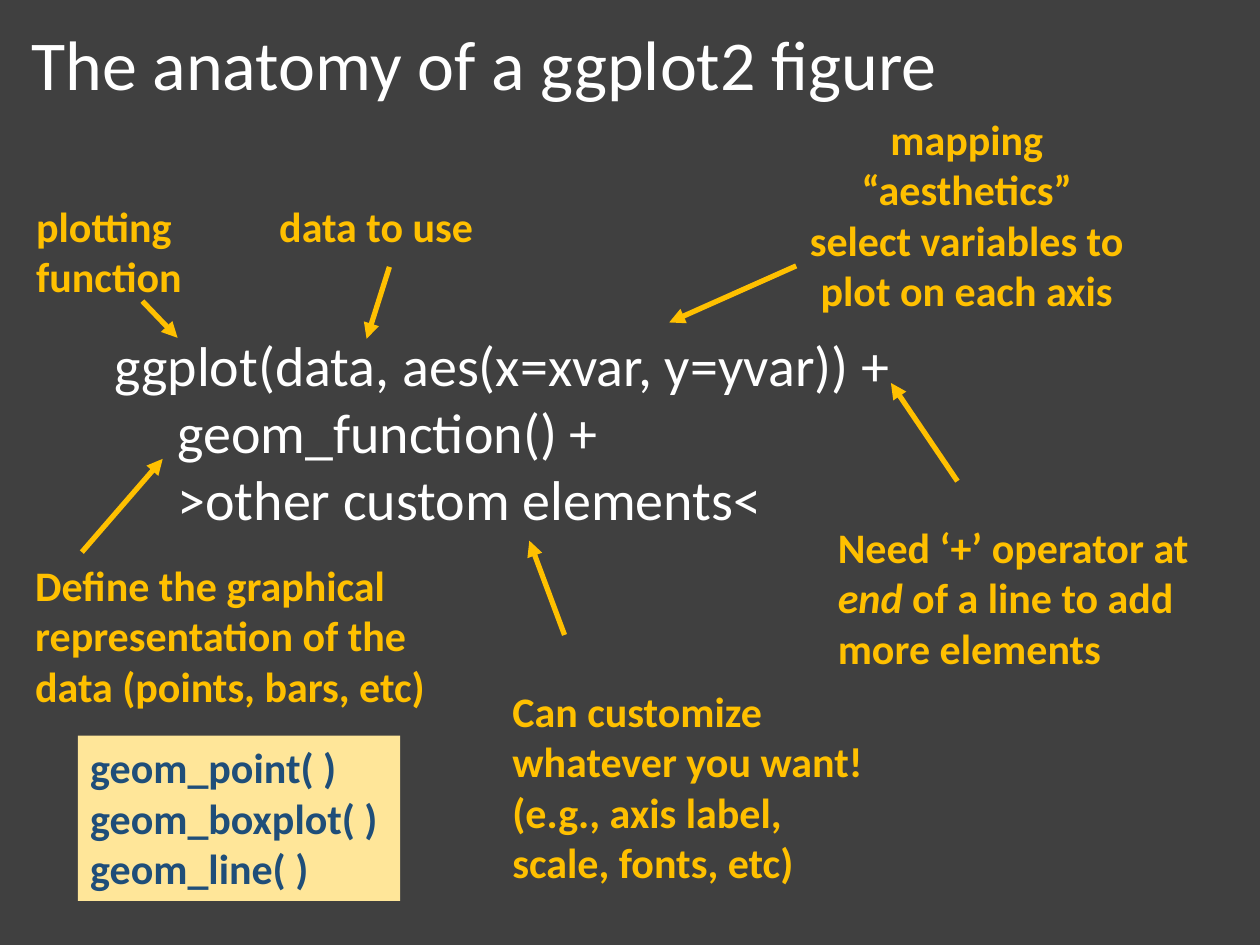
from lxml import etree
from pptx import Presentation
from pptx.dml.color import RGBColor
from pptx.enum.shapes import MSO_CONNECTOR, MSO_SHAPE
from pptx.enum.text import MSO_ANCHOR, MSO_AUTO_SIZE, PP_ALIGN
from pptx.oxml.ns import qn
from pptx.util import Cm, Pt

LEFT, CENTER = PP_ALIGN.LEFT, PP_ALIGN.CENTER
TOP = MSO_ANCHOR.TOP
FIT_SHAPE = MSO_AUTO_SIZE.SHAPE_TO_FIT_TEXT
STRAIGHT = MSO_CONNECTOR.STRAIGHT
RECTANGLE = MSO_SHAPE.RECTANGLE

TITLE_ONLY = 5
FONT = "Calibri"
BACKGROUND, WHITE, GOLD = "404040", "FFFFFF", "FFC000"
CREAM, NAVY = "FFE699", "1F4E79"

# Each callout: box, arrow start and tip relative to the box corner, paragraphs, alignment, wrap
CALLOUTS = [
    ((5.38, 3.91, 4.47, 1.27), (2.47, 1.47), (2.01, 2.92),
     [["data to use"]], LEFT, False),
    ((15.77, 2.16, 7.44, 4.37), (0.28, 3.2), (-2.28, 4.34),
     [["mapping “aesthetics”"], ["select variables to plot on each axis"]], CENTER, True),
    ((0.48, 3.91, 3.73, 2.31), (2.39, 2.16), (3.1, 2.9),
     [["plotting function"]], LEFT, True),
    ((0.46, 11.15, 8.76, 3.33), (1.19, -0.02), (2.82, -1.9),
     [["Define the graphical representation of the data (points, bars, etc)"]], LEFT, True),
    ((16.64, 10.39, 8.76, 3.33), (2.66, -0.69), (1.32, -2.67),
     [["Need ‘+’ operator at ", ("end", True), " of a line to add more elements"]], LEFT, True),
    ((10.08, 13.69, 7.87, 4.37), (1.3, -0.89), (0.59, -2.79),
     [["Can customize whatever you want!"], ["(e.g., axis label, scale, fonts, etc)"]], LEFT, True),
]


def color(value):
    """Return the colour for a hex string."""
    return RGBColor.from_string(value)


def lengths(box):
    """Convert a box or point in centimetres to lengths."""
    return [Cm(value) for value in box]


def write(shape, paragraphs, size, text_color, bold=False, align=LEFT, wrap=True):
    """Fill a shape with paragraphs of runs; a (text, True) run is italic."""
    frame = shape.text_frame
    frame.word_wrap = wrap
    frame.auto_size = FIT_SHAPE
    frame.vertical_anchor = TOP
    for index, runs in enumerate(paragraphs):
        paragraph = frame.add_paragraph() if index else frame.paragraphs[0]
        paragraph.alignment = align
        for item in runs:
            text, italic = item if isinstance(item, tuple) else (item, False)
            run = paragraph.add_run()
            run.text = text
            run.font.name = FONT
            run.font.size = Pt(size)
            run.font.bold = bold
            run.font.italic = italic
            run.font.color.rgb = color(text_color)


def add_title(slide, box):
    """Place and format the title placeholder."""
    title = slide.shapes.title
    title.left, title.top, title.width, title.height = lengths(box)
    write(title, [["The anatomy of a ggplot2 figure"]], 40, WHITE)


def add_code(slide, box):
    """Add the template call that the callouts explain."""
    lines = [["ggplot(data, aes(x=xvar, y=yvar)) +"],
             ["\tgeom_function() +"],
             ["\t>other custom elements<"]]
    write(slide.shapes.add_textbox(*lengths(box)), lines, 32, WHITE)


def add_arrow(slide, start, tip):
    """Draw a gold arrow from start to tip."""
    arrow = slide.shapes.add_connector(STRAIGHT, *lengths(start + tip))
    arrow.line.color.rgb = color(GOLD)
    arrow.line.width = Pt(3)
    etree.SubElement(arrow.line._get_or_add_ln(), qn("a:tailEnd"), type="triangle")
    etree.SubElement(arrow._element.spPr, qn("a:effectLst"))


def add_callout(slide, box, start, tip, paragraphs, align, wrap):
    """Add an explanation and its arrow, both relative to the box corner."""
    left, top = box[:2]
    label = slide.shapes.add_textbox(*lengths(box))
    write(label, paragraphs, 24, GOLD, True, align, wrap)
    add_arrow(slide, *((left + x, top + y) for x, y in (start, tip)))


def add_examples(slide, box):
    """Add the filled box of example geom functions."""
    shape = slide.shapes.add_shape(RECTANGLE, *lengths(box))
    shape.shadow.inherit = False
    shape.fill.solid()
    shape.fill.fore_color.rgb = color(CREAM)
    shape.line.fill.background()
    names = ("point", "boxplot", "line")
    write(shape, [[f"geom_{name}( )"] for name in names], 24, NAVY, True)


def main():
    """Build and save the presentation."""
    presentation = Presentation()
    presentation.slide_width, presentation.slide_height = lengths((25.4, 19.05))
    slide = presentation.slides.add_slide(presentation.slide_layouts[TITLE_ONLY])
    slide.background.fill.solid()
    slide.background.fill.fore_color.rgb = color(BACKGROUND)
    add_title(slide, (0.38, 0.28, 21.31, 1.96))
    add_code(slide, (2.06, 6.53, 21.31, 4.37))
    for callout in CALLOUTS:
        add_callout(slide, *callout)
    add_examples(slide, (1.57, 14.83, 6.5, 3.33))
    presentation.save("out.pptx")


if __name__ == "__main__":
    main()
